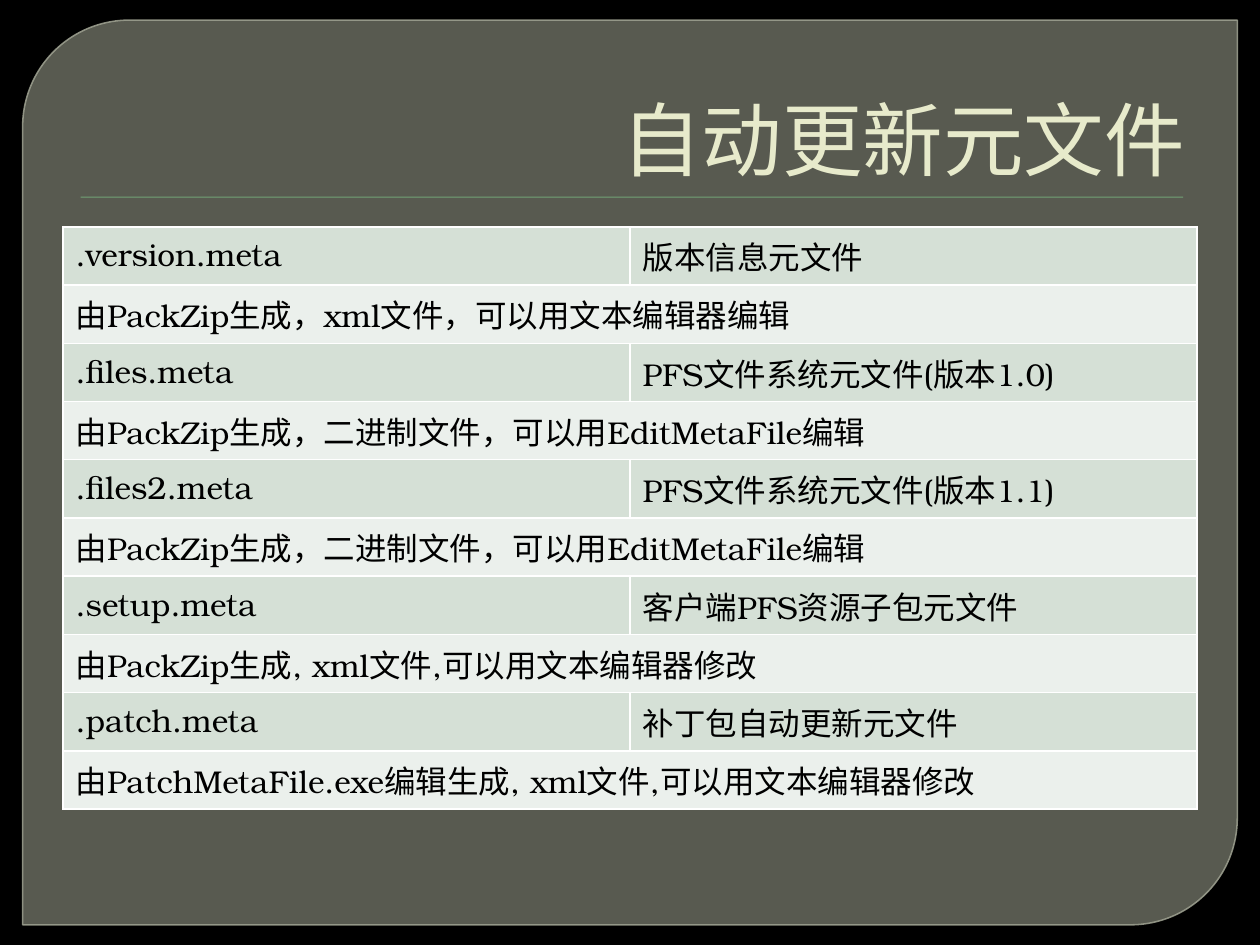
from dataclasses import dataclass

from lxml import etree
from pptx import Presentation
from pptx.dml.color import RGBColor
from pptx.enum.shapes import MSO_SHAPE
from pptx.enum.text import MSO_ANCHOR, MSO_AUTO_SIZE, PP_ALIGN
from pptx.oxml.ns import qn
from pptx.util import Inches, Pt

PANEL = MSO_SHAPE.ROUND_2_DIAG_RECTANGLE
RECT = MSO_SHAPE.RECTANGLE
BOTTOM = MSO_ANCHOR.BOTTOM
RIGHT = PP_ALIGN.RIGHT
FIXED = MSO_AUTO_SIZE.NONE

TITLE = "自动更新元文件"
FILES = [
    (".version.meta", "版本信息元文件", "由PackZip生成，xml文件，可以用文本编辑器编辑"),
    (".files.meta", "PFS文件系统元文件(版本1.0)", "由PackZip生成，二进制文件，可以用EditMetaFile编辑"),
    (".files2.meta", "PFS文件系统元文件(版本1.1)", "由PackZip生成，二进制文件，可以用EditMetaFile编辑"),
    (".setup.meta", "客户端PFS资源子包元文件", "由PackZip生成, xml文件,可以用文本编辑器修改"),
    (".patch.meta", "补丁包自动更新元文件", "由PatchMetaFile.exe编辑生成, xml文件,可以用文本编辑器修改"),
]


@dataclass(frozen=True)
class Theme:
    """Colours, font and type sizes."""

    font: str = "TeX Gyre Bonum"
    back: str = "000000"
    panel: str = "888B7B"
    edge: str = "9DA090"
    rule: str = "72A376"
    title: str = "E7EACB"
    text: str = "000000"
    dark: str = "D5E0D6"
    light: str = "EBF0EC"
    grid: str = "FFFFFF"
    head: int = 46
    body: int = 18


class Deck:
    """Draws styled elements on the current slide."""

    def __init__(self, theme):
        self.theme = theme
        self.deck = Presentation()
        self.deck.slide_width, self.deck.slide_height = Inches(10), Inches(7.5)
        self.slide = self.deck.slides.add_slide(self.deck.slide_layouts[5])
        self.paint(self.slide.background.fill, theme.back)

    def paint(self, fill, color):
        """Give a fill one solid colour."""
        fill.solid()
        fill.fore_color.rgb = RGBColor.from_string(color)

    def style(self, frame, size, color):
        """Format every run of a text frame."""
        for para in frame.paragraphs:
            for run in para.runs:
                run.font.name = self.theme.font
                run.font.size = Pt(size)
                run.font.color.rgb = RGBColor.from_string(color)

    def shape(self, kind, box, color):
        """Add a flat shape without an outline."""
        shape = self.slide.shapes.add_shape(kind, *map(Inches, box))
        shape.shadow.inherit = False
        self.paint(shape.fill, color)
        shape.line.fill.background()
        return shape

    def panel(self, box):
        """Add the translucent panel with two round corners."""
        shape = self.shape(PANEL, box, self.theme.panel)
        shape.adjustments[0], shape.adjustments[1] = 0.118, 0
        self.paint(shape.line.fill, self.theme.edge)
        shape.line.width = Pt(0.87)
        colors = shape._element.spPr.iter(qn("a:srgbClr"))
        for color, share in zip(colors, (65, 88)):
            etree.SubElement(color, qn("a:alpha"), val=str(share * 1000))

    def title(self, text, box):
        """Place the title in front of the panel."""
        title = self.slide.shapes.title
        self.slide.shapes._spTree.append(title._element)
        title.left, title.top, title.width, title.height = map(Inches, box)
        frame = title.text_frame
        frame.text = text
        frame.auto_size = FIXED
        frame.word_wrap = True
        frame.vertical_anchor = BOTTOM
        frame.paragraphs[0].alignment = RIGHT
        self.style(frame, self.theme.head, self.theme.title)

    def border(self, cell):
        """Draw thin lines on all four sides of a cell."""
        props = cell._tc.get_or_add_tcPr()
        for spot, side in enumerate(("lnL", "lnR", "lnT", "lnB")):
            line = etree.Element(qn(f"a:{side}"), w=str(Pt(1)))
            fill = etree.SubElement(line, qn("a:solidFill"))
            etree.SubElement(fill, qn("a:srgbClr"), val=self.theme.grid)
            props.insert(spot, line)

    def cell(self, cell, text, color):
        """Fill, frame and label one cell."""
        self.paint(cell.fill, color)
        self.border(cell)
        cell.text_frame.text = text
        self.style(cell.text_frame, self.theme.body, self.theme.text)

    def table(self, files, box):
        """Add two rows per file: name and role, then a merged note."""
        grid = self.slide.shapes.add_table(2 * len(files), 2, *map(Inches, box)).table
        grid.first_row = grid.horz_banding = False
        for index, (name, role, note) in enumerate(files):
            row = 2 * index
            self.cell(grid.cell(row, 0), name, self.theme.dark)
            self.cell(grid.cell(row, 1), role, self.theme.dark)
            self.cell(grid.cell(row + 1, 0), note, self.theme.light)
            self.cell(grid.cell(row + 1, 1), "", self.theme.light)
            grid.cell(row + 1, 0).merge(grid.cell(row + 1, 1))


def main():
    """Build and save the slide."""
    theme = Theme()
    deck = Deck(theme)
    deck.panel((0.18, 0.16, 9.64, 7.18))
    deck.shape(RECT, (0.64, 1.56, 8.75, 0.01), theme.rule)
    deck.title(TITLE, (0.5, 0.28, 9, 1.25))
    deck.table(FILES, (0.5, 1.8, 9, 4.06))
    deck.deck.save("out.pptx")


if __name__ == "__main__":
    main()
